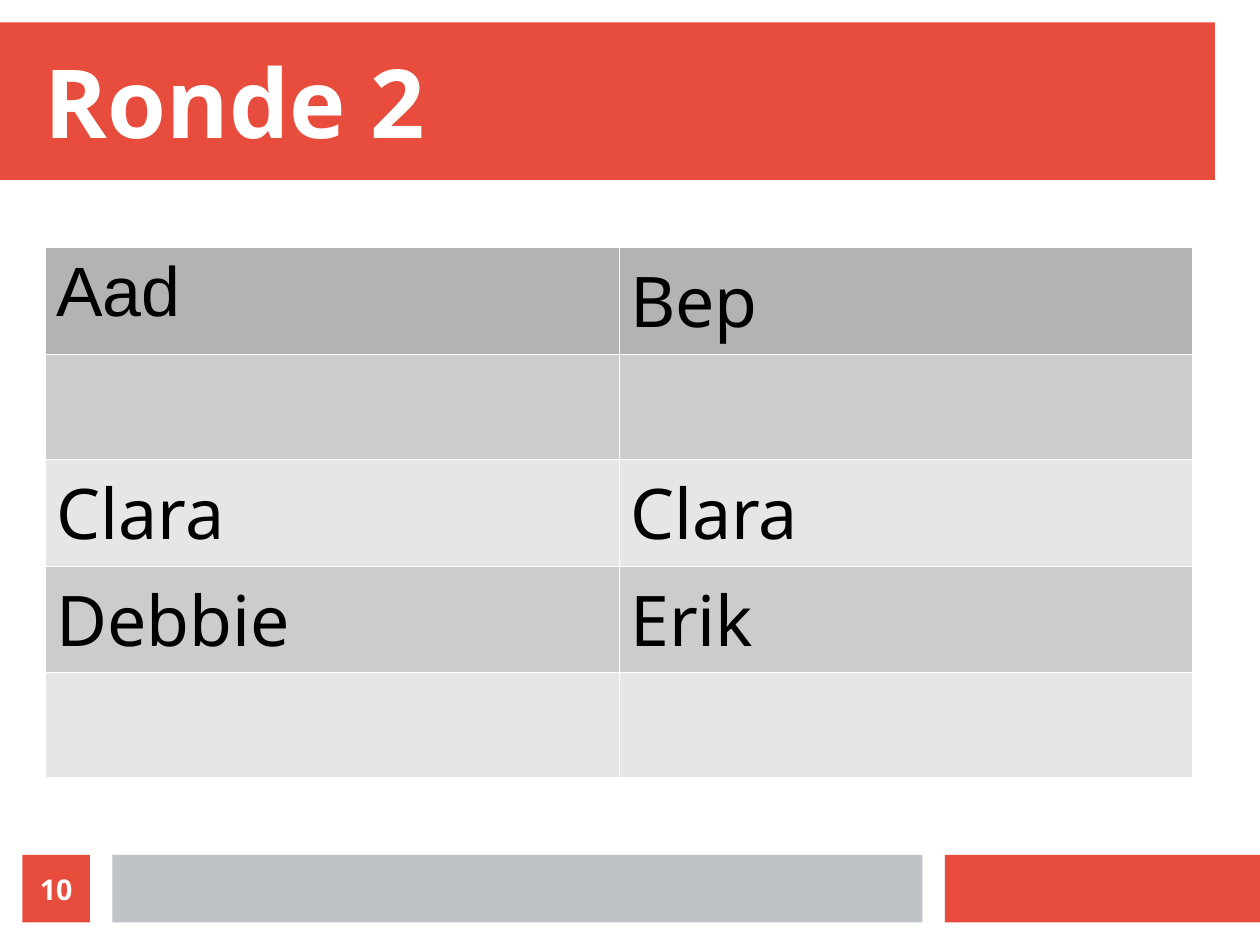
from dataclasses import dataclass

from pptx import Presentation
from pptx.dml.color import RGBColor
from pptx.enum.shapes import MSO_SHAPE
from pptx.enum.text import MSO_ANCHOR, PP_ALIGN
from pptx.oxml import parse_xml
from pptx.oxml.ns import nsdecls
from pptx.util import Inches, Pt

COLORS = {
    "red": "E74C3C",
    "silver": "BDC3C7",
    "white": "FFFFFF",
    "black": "000000",
    "header": "B3B3B3",
    "dark_band": "CCCCCC",
    "light_band": "E6E6E6",
}
FONT = "Noto Sans"
ROWS = [("Aad", "Bep"), ("", ""), ("Clara", "Clara"), ("Debbie", "Erik"), ("", "")]

# The layout grid is metric: 28 by 21 units of 1 cm
UNIT = 1 / 2.54
SLIDE_WIDTH, SLIDE_HEIGHT = 28, 21
COL_WIDTH, ROW_HEIGHT = 12.75, 2.33


@dataclass
class Bar:
    left: float
    top: float
    width: float
    height: float
    color: str


TITLE_BAR = Bar(0, 0.5, 27, 3.5, "red")
FOOTER_BARS = [
    Bar(21, 19, 7, 1.5, "red"),
    Bar(2.5, 19, 18, 1.5, "silver"),
]
NUMBER_BAR = Bar(0.5, 19, 1.5, 1.5, "red")


def grid(*units: float) -> list[Inches]:
    return [Inches(u * UNIT) for u in units]


def rgb(name: str) -> RGBColor:
    return RGBColor.from_string(COLORS[name])


def add_bar(slide, bar: Bar):
    s = slide.shapes.add_shape(
        MSO_SHAPE.RECTANGLE, *grid(bar.left, bar.top, bar.width, bar.height))
    s.shadow.inherit = False
    s.fill.solid()
    s.fill.fore_color.rgb = rgb(bar.color)
    s.line.fill.background()
    return s


def style_runs(tf, size: float, color: str, bold: bool = False, font: str = FONT) -> None:
    for p in tf.paragraphs:
        for r in p.runs:
            r.font.name = font
            r.font.size = Pt(size)
            r.font.bold = bold
            r.font.color.rgb = rgb(color)


def set_label(s, text: str, size: float, anchor: MSO_ANCHOR, align: PP_ALIGN) -> None:
    tf = s.text_frame
    tf.text = text
    tf.word_wrap = True
    tf.vertical_anchor = anchor
    tf.margin_left = tf.margin_top = tf.margin_right = tf.margin_bottom = 0
    tf.paragraphs[0].alignment = align
    style_runs(tf, size, "white", bold=True)


def add_borders(cell) -> None:
    tc_pr = cell._tc.get_or_add_tcPr()
    for i, side in enumerate(("lnL", "lnR", "lnT", "lnB")):
        tc_pr.insert(i, parse_xml(
            f'<a:{side} {nsdecls("a")} w="{Pt(0.06)}"><a:solidFill>'
            f'<a:srgbClr val="{COLORS["white"]}"/></a:solidFill></a:{side}>'))


def row_color(row: int) -> str:
    if row == 0:
        return "header"
    return "dark_band" if row % 2 else "light_band"


def add_pairings(slide) -> None:
    n_rows, n_cols = len(ROWS), len(ROWS[0])
    table = slide.shapes.add_table(
        n_rows, n_cols,
        *grid(1, 5.5, n_cols * COL_WIDTH, n_rows * ROW_HEIGHT)).table
    table.first_row = table.horz_banding = False
    for i, names in enumerate(ROWS):
        for j, name in enumerate(names):
            cell = table.cell(i, j)
            cell.fill.solid()
            cell.fill.fore_color.rgb = rgb(row_color(i))
            cell.text_frame.text = name
            font = "Arial" if (i, j) == (0, 0) else FONT
            style_runs(cell.text_frame, 44, "black", font=font)
            add_borders(cell)


def main() -> None:
    prs = Presentation()
    prs.slide_width, prs.slide_height = grid(SLIDE_WIDTH, SLIDE_HEIGHT)
    slide = prs.slides.add_slide(prs.slide_layouts[6])

    # Title and footer bars
    for bar in (TITLE_BAR, *FOOTER_BARS):
        add_bar(slide, bar)

    # Pairings table
    add_pairings(slide)

    # Title
    title = slide.shapes.add_textbox(*grid(1, 1, 26, 2.5))
    set_label(title, "Ronde 2", 60, MSO_ANCHOR.BOTTOM, PP_ALIGN.LEFT)

    # Slide number
    number = add_bar(slide, NUMBER_BAR)
    set_label(number, "10", 18, MSO_ANCHOR.MIDDLE, PP_ALIGN.CENTER)

    prs.save("out.pptx")


if __name__ == "__main__":
    main()
